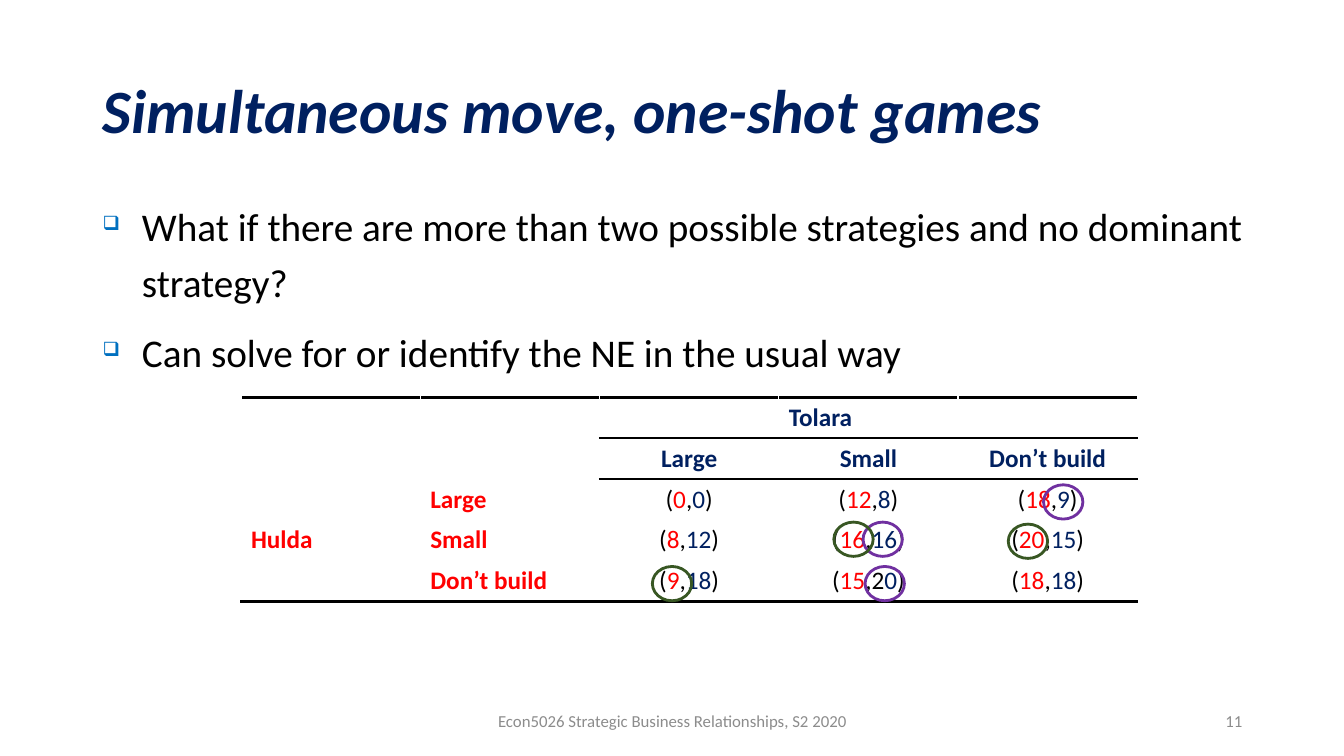
from lxml.etree import SubElement
from pptx import Presentation
from pptx.dml.color import RGBColor
from pptx.enum.shapes import MSO_SHAPE
from pptx.enum.text import MSO_ANCHOR, PP_ALIGN
from pptx.oxml.ns import qn
from pptx.util import Inches, Pt

NAVY, RED, BLACK, WHITE = "002060", "FF0000", "000000", "FFFFFF"
BLUE, GREY, PURPLE, GREEN = "0070C0", "8C8C8C", "7030A0", "385723"


def colour(value):
    """Turn a hex string into a colour."""
    return RGBColor.from_string(value)


class SlideBuilder:
    """Draw the elements of one slide in a shared style."""

    font_name = "Calibri"

    def __init__(self, slide):
        """Keep the slide to draw on."""
        self.slide = slide

    def run(self, paragraph, wording, size, ink, bold=False, italic=False):
        """Add one styled run."""
        run = paragraph.add_run()
        run.text = wording
        run.font.name = self.font_name
        run.font.size = Pt(size)
        run.font.bold = bold
        run.font.italic = italic
        run.font.color.rgb = colour(ink)

    def frame(self, place, anchor=MSO_ANCHOR.MIDDLE):
        """Add a wrapping text box and return its frame."""
        frame = self.slide.shapes.add_textbox(*map(Inches, place)).text_frame
        frame.word_wrap = True
        frame.vertical_anchor = anchor
        return frame

    def title(self, place, wording):
        """Add the slide title."""
        paragraph = self.frame(place).paragraphs[0]
        paragraph.line_spacing = 0.9
        self.run(paragraph, wording, 44, NAVY, bold=True, italic=True)

    def footer(self, place, wording, align):
        """Add a small grey footer text."""
        paragraph = self.frame(place).paragraphs[0]
        paragraph.alignment = align
        self.run(paragraph, wording, 12, GREY)

    def bullets(self, place, points):
        """Add a bulleted list."""
        frame = self.frame(place, MSO_ANCHOR.TOP)
        for number, point in enumerate(points):
            paragraph = frame.add_paragraph() if number else frame.paragraphs[0]
            paragraph.line_spacing = 1.2
            if number:
                paragraph.space_before = Pt(10)
            properties = paragraph._p.get_or_add_pPr()
            properties.set("marL", str(Inches(0.39)))
            properties.set("indent", str(-Inches(0.39)))
            tint = SubElement(properties, qn("a:buClr"))
            SubElement(tint, qn("a:srgbClr"), val=BLUE)
            SubElement(properties, qn("a:buSzPct"), val="50000")
            SubElement(properties, qn("a:buChar"), char="❑")
            self.run(paragraph, point, 28, BLACK)

    def border(self, cell, side, ink, width):
        """Set one border of a cell."""
        line = SubElement(cell._tc.get_or_add_tcPr(), qn(f"a:{side}"), w=str(Pt(width)))
        fill = SubElement(line, qn("a:solidFill"))
        SubElement(fill, qn("a:srgbClr"), val=ink)

    def game_table(self, place, rows):
        """Add the payoff table, with rules above, below and under its headings."""
        count, width = len(rows), len(rows[0])
        table = self.slide.shapes.add_table(count, width, *map(Inches, place)).table
        table.first_row = table.horz_banding = False
        for y, row in enumerate(rows):
            for x, runs in enumerate(row):
                cell = table.cell(y, x)
                self.border(cell, "lnL", WHITE, 1)
                self.border(cell, "lnR", WHITE, 1)
                for side, edge in (("lnT", y), ("lnB", y + 1)):
                    outer = edge in (0, count)
                    ruled = outer or (edge in (1, 2) and x >= 2)
                    self.border(cell, side, BLACK if ruled else WHITE, 2.25 if outer else 1)
                cell.fill.background()
                paragraph = cell.text_frame.paragraphs[0]
                if x >= 2 and y >= 1:
                    paragraph.alignment = PP_ALIGN.CENTER
                for wording, ink, bold in runs:
                    self.run(paragraph, wording, 18, ink, bold)

    def ring(self, left, top, ink):
        """Circle a best response."""
        place = map(Inches, (left, top, 0.39, 0.34))
        ring = self.slide.shapes.add_shape(MSO_SHAPE.OVAL, *place)
        ring.shadow.inherit = False
        ring.fill.background()
        ring.line.color.rgb = colour(ink)
        ring.line.width = Pt(2)


def label(wording, ink):
    """Give the runs of a heading cell."""
    return [(wording, ink, True)] if wording else []


def payoff(parts):
    """Give the runs of a payoff pair."""
    row_gain, separator, column_gain = parts.split("|")
    return [("(", BLACK, False), (row_gain, RED, False), (separator, BLACK, False),
            (column_gain, NAVY, False), (")", BLACK, False)]


def main():
    """Build and save the slide."""
    deck = Presentation()
    deck.slide_width, deck.slide_height = Inches(13.33), Inches(7.5)
    builder = SlideBuilder(deck.slides.add_slide(deck.slide_layouts[6]))

    builder.title((0.92, 0.4, 11.5, 1.45), "Simultaneous move, one-shot games")
    builder.bullets((0.92, 1.86, 11.5, 4.89), [
        "What if there are more than two possible strategies and no dominant strategy?",
        "Can solve for or identify the NE in the usual way",
    ])
    builder.footer((4.42, 6.95, 4.5, 0.4),
                   "Econ5026 Strategic Business Relationships, S2 2020", PP_ALIGN.CENTER)
    builder.footer((9.42, 6.95, 3, 0.4), "11", PP_ALIGN.RIGHT)

    headings = [["", "", "", "Tolara", ""], ["", "", "Large", "Small", "Don’t build"]]
    strategies = [
        ("", "Large", ["0|,|0", "12|,|8", "18|,|9"]),
        ("Hulda", "Small", ["8|,|12", "16|,|16", "20|,|15"]),
        ("", "Don’t build", ["9|,|18", "15|,2|0", "18|,|18"]),
    ]
    rows = [[label(heading, NAVY) for heading in row] for row in headings]
    for firm, strategy, payoffs in strategies:
        rows.append([label(firm, RED), label(strategy, RED), *map(payoff, payoffs)])
    builder.game_table((2.39, 3.94, 8.89, 2.03), rows)

    best_responses = {
        PURPLE: [(10.35, 4.81), (8.56, 5.18), (8.58, 5.62)],
        GREEN: [(6.47, 5.62), (8.27, 5.18), (10, 5.2)],
    }
    for ink, spots in best_responses.items():
        for left, top in spots:
            builder.ring(left, top, ink)

    deck.save("out.pptx")


if __name__ == "__main__":
    main()
